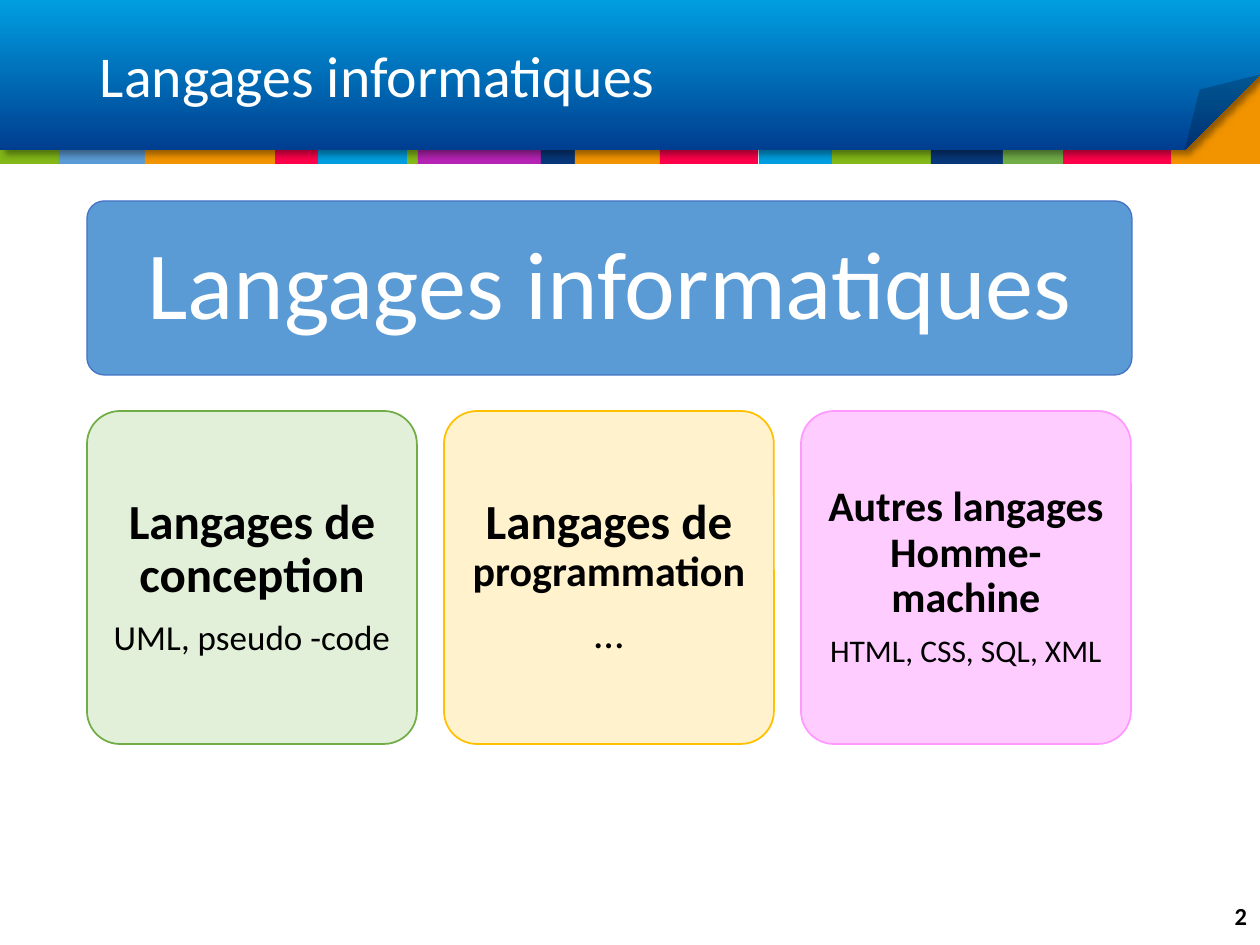
from lxml.etree import SubElement
from pptx import Presentation
from pptx.dml.color import RGBColor
from pptx.enum.shapes import MSO_SHAPE
from pptx.enum.text import MSO_ANCHOR, PP_ALIGN
from pptx.oxml.ns import qn
from pptx.util import Emu, Pt

EMU_PER_PX = 914400 / 126
FONT = "Calibri"

WHITE = RGBColor(0xFF, 0xFF, 0xFF)
BLACK = RGBColor(0x00, 0x00, 0x00)
LIME = RGBColor(0x83, 0xB8, 0x18)
ORANGE = RGBColor(0xF2, 0x94, 0x00)
BLUE = RGBColor(0x5B, 0x9B, 0xD5)
RED = RGBColor(0xFF, 0x01, 0x4B)
CYAN = RGBColor(0x00, 0x9E, 0xE0)
PURPLE = RGBColor(0xB5, 0x23, 0xB4)
NAVY = RGBColor(0x07, 0x37, 0x79)
GREEN = RGBColor(0x70, 0xAD, 0x47)
DEEP_BLUE = RGBColor(0x00, 0x3E, 0x90)
BANNER_LINE = RGBColor(0x44, 0x72, 0xC4)
PALE_GREEN = RGBColor(0xE2, 0xF0, 0xD9)
PALE_YELLOW = RGBColor(0xFF, 0xF2, 0xCC)
YELLOW = RGBColor(0xFF, 0xC0, 0x00)
PALE_PINK = RGBColor(0xFF, 0xCC, 0xFF)
PINK = RGBColor(0xFF, 0x99, 0xFF)

BANDS = [
    (374, 64, LIME), (0, 64, LIME), (59, 87, BLUE), (145, 139, ORANGE),
    (275, 43, RED), (318, 89, CYAN), (418, 127, PURPLE), (541, 35, NAVY),
    (575, 89, ORANGE), (660, 98, RED), (759, 77, CYAN), (832, 115, LIME),
    (931, 73, NAVY), (1003, 63, GREEN), (1063, 108, RED),
]

CARDS = [
    (PALE_GREEN, GREEN, 15, [
        [("Langages de conception", 28, True)],
        [("UML, pseudo -code", 20, False)]]),
    (PALE_YELLOW, YELLOW, 15, [
        [("Langages de ", 28, True), ("programmation", 24, True)],
        [("…", 24, False)]]),
    (PALE_PINK, PINK, 13, [
        [("Autres langages Homme- machine", 24, True)],
        [("HTML, CSS, SQL, XML", 18, False)]]),
]


def px(length):
    """Turn a length in pixels into EMU."""
    return Emu(round(length * EMU_PER_PX))


def add_box(slide, preset, box, fill=None, line=None, line_width=1):
    """Add a preset shape with a flat fill and an optional outline."""
    shape = slide.shapes.add_shape(preset, *map(px, box))
    shape.shadow.inherit = False
    if fill is not None:
        shape.fill.solid()
        shape.fill.fore_color.rgb = fill
    if line is None:
        shape.line.fill.background()
    else:
        shape.line.color.rgb = line
        shape.line.width = Pt(line_width)
    return shape


def add_rounded_box(slide, box, fill, line, line_width=1):
    """Add an outlined box with slightly rounded corners."""
    shape = add_box(slide, MSO_SHAPE.ROUNDED_RECTANGLE, box, fill, line, line_width)
    shape.adjustments[0] = 0.1
    return shape


def write_text(shape, paragraphs, color=BLACK, align=PP_ALIGN.CENTER, spacing=0.9,
               inset_x=13, inset_y=6):
    """Write paragraphs of (text, size, bold) runs into a shape."""
    frame = shape.text_frame
    frame.word_wrap = True
    frame.vertical_anchor = MSO_ANCHOR.MIDDLE
    frame.margin_left = frame.margin_right = px(inset_x)
    frame.margin_top = frame.margin_bottom = px(inset_y)
    for index, runs in enumerate(paragraphs):
        paragraph = frame.add_paragraph() if index else frame.paragraphs[0]
        paragraph.alignment = align
        paragraph.line_spacing = spacing
        if index < len(paragraphs) - 1:
            paragraph.space_after = Pt(round(0.35 * runs[0][1]))
        for text, size, bold in runs:
            run = paragraph.add_run()
            run.text = text
            run.font.name = FONT
            run.font.size = Pt(size)
            run.font.bold = bold
            run.font.color.rgb = color


def add_label(slide, box, text, size, bold=False, **text_format):
    """Add a text box holding one line."""
    write_text(slide.shapes.add_textbox(*map(px, box)), [[(text, size, bold)]], **text_format)


def set_fold(shape):
    """Fold the corner over half of the height of the shape."""
    adjustments = shape._element.spPr.find(qn("a:prstGeom")).find(qn("a:avLst"))
    SubElement(adjustments, qn("a:gd"), name="adj", fmla="val 50000")


def add_drop_shadow(shape):
    """Give a shape a soft shadow towards the lower right."""
    effects = shape._element.spPr.find(qn("a:effectLst"))
    shadow = SubElement(effects, qn("a:outerShdw"), blurRad=str(Pt(4)), dist=str(Pt(3)),
                        dir="2700000", algn="tl", rotWithShape="0")
    color = SubElement(shadow, qn("a:srgbClr"), val=str(BLACK))
    SubElement(color, qn("a:alpha"), val="40000")


def add_header(slide):
    """Add the coloured bands and the folded title panel."""
    add_box(slide, MSO_SHAPE.RECTANGLE, (1160, 59, 100, 105), ORANGE)
    for left, width, color in BANDS:
        add_box(slide, MSO_SHAPE.RECTANGLE, (left, 102, width, 62), color)
    panel = add_box(slide, MSO_SHAPE.FOLDED_CORNER, (0, 0, 1260, 150))
    set_fold(panel)
    panel.fill.gradient()
    panel.fill.gradient_angle = 270
    for stop, color, position in zip(panel.fill.gradient_stops, (CYAN, DEEP_BLUE), (0, 1)):
        stop.color.rgb = color
        stop.position = position
    add_drop_shadow(panel)
    add_label(slide, (87, 32, 1086, 94), "Langages informatiques", 33,
              color=WHITE, align=PP_ALIGN.LEFT)


def add_cards(slide):
    """Add the banner and the row of language families below it."""
    banner = add_rounded_box(slide, (87, 201, 1045, 174), BLUE, BANNER_LINE, 0.75)
    write_text(banner, [[("Langages informatiques", 55, False)]], color=WHITE,
               inset_x=29, inset_y=29)
    for column, (fill, line, inset, paragraphs) in enumerate(CARDS):
        card = add_rounded_box(slide, (87 + 357 * column, 411, 330, 333), fill, line)
        write_text(card, paragraphs, inset_x=inset, inset_y=inset)


def main():
    """Build and save the slide."""
    presentation = Presentation()
    presentation.slide_width, presentation.slide_height = px(1260), px(945)
    slide = presentation.slides.add_slide(presentation.slide_layouts[6])
    add_header(slide)
    add_label(slide, (1173, 891, 87, 50), "2", 14, True, align=PP_ALIGN.RIGHT, spacing=1.0)
    add_cards(slide)
    presentation.save("out.pptx")


if __name__ == "__main__":
    main()
